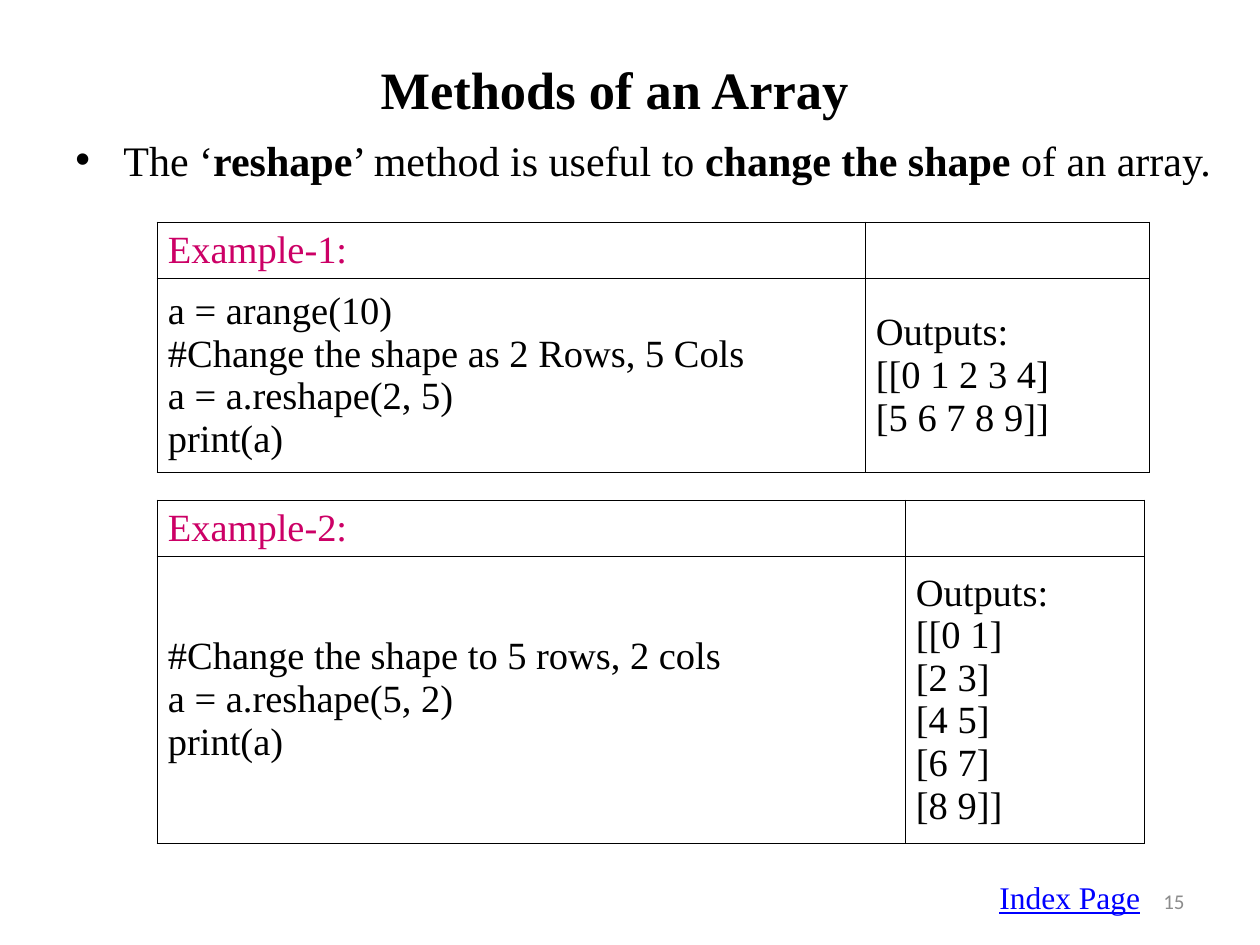
from lxml import etree
from pptx import Presentation
from pptx import util as u
from pptx.dml.color import RGBColor
from pptx.enum import text
from pptx.oxml import ns

PX = 914400 // 126
SERIF = "Times New Roman"
BLACK, PINK, LINK, GREY = "000000", "CC0066", "0000FF", "8C8C8C"


def px(length):
    return u.Emu(length * PX)


def color(value):
    return RGBColor.from_string(value)


def style(font, size, value, name=SERIF, bold=False):
    font.name, font.size, font.bold = name, u.Pt(size), bold
    font.color.rgb = color(value)


def place(shape, box):
    shape.left, shape.top, shape.width, shape.height = map(px, box)


def add_title(page, box, words):
    title = page.shapes.title
    place(title, box)
    frame = title.text_frame
    frame.text = words
    frame.word_wrap = False
    frame.auto_size = text.MSO_AUTO_SIZE.NONE
    frame.vertical_anchor = text.MSO_ANCHOR.TOP
    para = frame.paragraphs[0]
    para.alignment = text.PP_ALIGN.LEFT
    style(para.runs[0].font, 30, BLACK, bold=True)


def add_label(page, box, words, size, value, align, name=SERIF, wrap=False):
    label = page.shapes.add_textbox(*map(px, box))
    frame = label.text_frame
    frame.text = words
    frame.word_wrap = wrap
    frame.vertical_anchor = text.MSO_ANCHOR.MIDDLE
    para = frame.paragraphs[0]
    para.alignment = align
    style(para.runs[0].font, size, value, name)
    return para.runs[0]


def add_bullet(page, box, spans):
    frame = page.shapes.add_textbox(*map(px, box)).text_frame
    frame.word_wrap = True
    para = frame.paragraphs[0]
    para.alignment = text.PP_ALIGN.JUSTIFY
    # Hanging bullet
    settings = para._p.get_or_add_pPr()
    settings.set("marL", str(px(48)))
    settings.set("indent", str(px(-48)))
    etree.SubElement(settings, ns.qn("a:buFont"), typeface="Arial")
    etree.SubElement(settings, ns.qn("a:buChar"), char="•")
    for words, bold in spans:
        span = para.add_run()
        span.text = words
        style(span.font, 24, BLACK, bold=bold)


def set_borders(cell):
    settings = cell._tc.get_or_add_tcPr()
    for index, side in enumerate(("lnL", "lnR", "lnT", "lnB")):
        line = etree.Element(ns.qn("a:" + side), w=str(u.Pt(0.5)))
        fill = etree.SubElement(line, ns.qn("a:solidFill"))
        etree.SubElement(fill, ns.qn("a:srgbClr"), val=BLACK)
        settings.insert(index, line)


def add_example(page, box, code_width, row_heights, heading, code, output):
    holder = page.shapes.add_table(2, 2, *map(px, box))
    table = holder.table
    table.first_row = table.horz_banding = False
    for column, width in zip(table.columns, (code_width, box[2] - code_width)):
        column.width = px(width)
    # Smallest row heights: the text stretches the rows to fill the box
    for row, height in zip(table.rows, row_heights):
        row.height = px(height)
    place(holder, box)
    for cell, words in zip(table.iter_cells(), (heading, "", code, output)):
        cell.text = words
        cell.vertical_anchor = text.MSO_ANCHOR.MIDDLE
        cell.margin_left = cell.margin_right = px(11)
        cell.margin_top = cell.margin_bottom = px(5)
        cell.fill.background()
        set_borders(cell)
        for para in cell.text_frame.paragraphs:
            for span in para.runs:
                style(span.font, 22, PINK if words == heading else BLACK)


def add_footer(page, box):
    left, top, width, height = box
    add_label(page, box, "15", 12, GREY, text.PP_ALIGN.RIGHT, "Calibri", True)
    index = add_label(page, (left + 84, top - 4, 168, height), "Index Page",
                      18, LINK, text.PP_ALIGN.JUSTIFY)
    index.font.underline = True


def main():
    deck = Presentation()
    deck.slide_width, deck.slide_height = px(1260), px(945)
    page = deck.slides.add_slide(deck.slide_layouts[5])

    add_title(page, (368, 51, 498, 77), "Methods of an Array")
    add_bullet(page, (63, 128, 1166, 60), [
        ("The ‘", False), ("reshape", True), ("’ method is useful to ", False),
        ("change the shape", True), (" of an array.", False)])

    # Code on the left, printed result on the right
    add_example(page, (157, 222, 992, 235), 708, (44, 98), "Example-1:",
                "a = arange(10)\n#Change the shape as 2 Rows, 5 Cols\n"
                "a = a.reshape(2, 5)\nprint(a)",
                "Outputs:\n[[0 1 2 3 4]\n[5 6 7 8 9]]")
    add_example(page, (157, 500, 987, 320), 748, (50, 254), "Example-2:",
                "#Change the shape to 5 rows, 2 cols\n"
                "a = a.reshape(5, 2)\nprint(a)",
                "Outputs:\n[[0 1]\n[2 3]\n[4 5]\n[6 7]\n[8 9]]")

    add_footer(page, (903, 876, 294, 50))
    deck.save("out.pptx")


if __name__ == "__main__":
    main()
